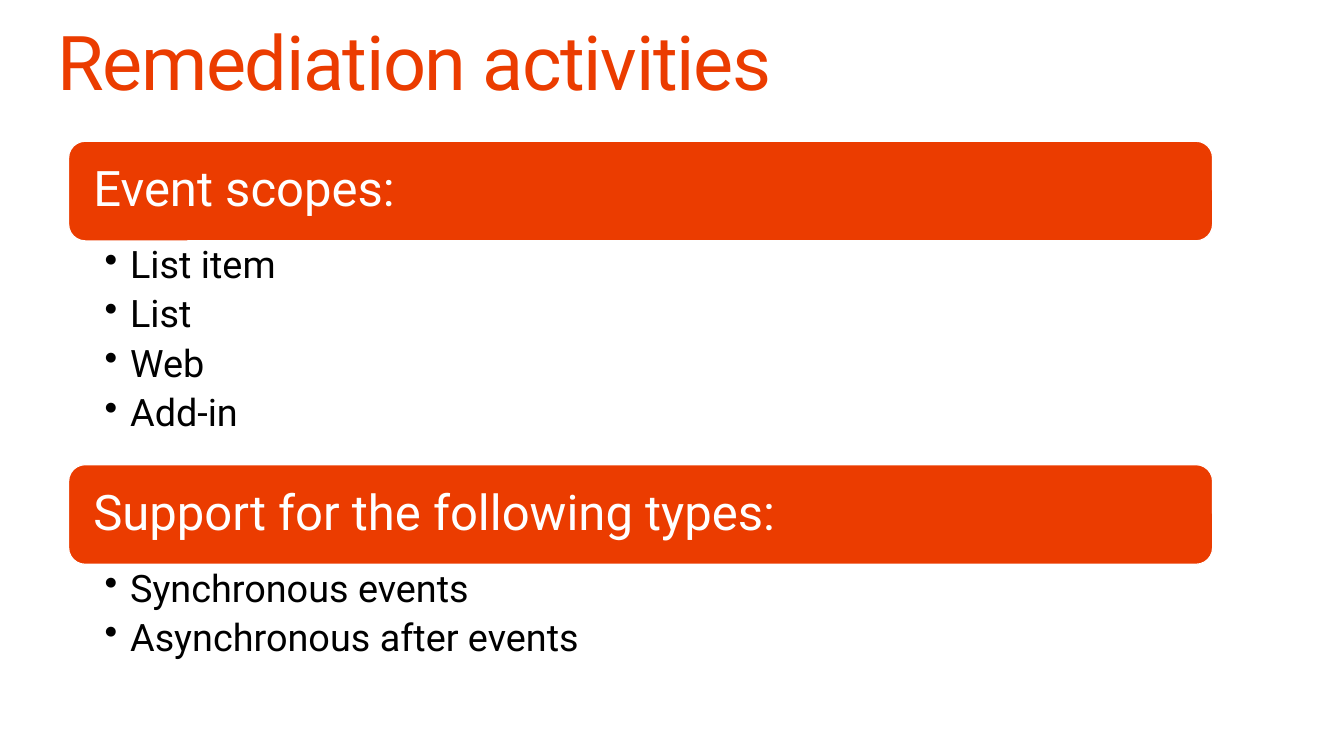
from lxml import etree
from pptx import Presentation
from pptx import util as u
from pptx.dml import color
from pptx.enum import shapes, text
from pptx.oxml import ns

COLOURS = {"accent": "EB3C00", "white": "FFFFFF", "black": "000000"}

SECTIONS = [
    ("Event scopes:", ["List item", "List", "Web", "Add-in"]),
    ("Support for the following types:", ["Synchronous events", "Asynchronous after events"]),
]

LEFT, WIDTH = 1.73, 28.83
FIRST_TOP, BAR_HEIGHT, ITEM_HEIGHT = 3.56, 2.51, 1.41


class SlideBuilder:
    font_name = "Roboto"
    line_spacing = 0.9

    def __init__(self, page):
        self.page = page

    def rgb(self, name):
        return color.RGBColor.from_string(COLOURS[name])

    def frame(self, box, insets, anchor=text.MSO_ANCHOR.TOP):
        frame = box.text_frame
        left, top, right, bottom = (u.Cm(inset) for inset in insets)
        settings = {
            "word_wrap": True,
            "vertical_anchor": anchor,
            "margin_left": left,
            "margin_top": top,
            "margin_right": right,
            "margin_bottom": bottom,
        }
        for name, value in settings.items():
            setattr(frame, name, value)
        return frame

    def add_words(self, para, words, size, colour, space_after=0):
        para_format = {
            "alignment": text.PP_ALIGN.LEFT,
            "line_spacing": self.line_spacing,
            "space_after": u.Pt(space_after),
        }
        for name, value in para_format.items():
            setattr(para, name, value)
        span = para.add_run()
        span.text = words
        for name, value in {"name": self.font_name, "size": u.Pt(size)}.items():
            setattr(span.font, name, value)
        span.font.color.rgb = self.rgb(colour)
        return span

    def text_box(self, left, top, width, height):
        return self.page.shapes.add_textbox(*map(u.Cm, (left, top, width, height)))

    def title(self, words):
        box = self.text_box(1.45, 0.64, 30.96, 2.08)
        frame = self.frame(box, (0, 0, 0, 0))
        span = self.add_words(frame.paragraphs[0], words, 54, "accent")
        span.font._element.set("spc", "-100")

    def heading_bar(self, words, top):
        bar = self.page.shapes.add_shape(
            shapes.MSO_SHAPE.ROUNDED_RECTANGLE,
            *map(u.Cm, (LEFT, top, WIDTH, BAR_HEIGHT)),
        )
        bar.shadow.inherit = False
        bar.fill.solid()
        bar.fill.fore_color.rgb = self.rgb("accent")
        bar.line.color.rgb = self.rgb("white")
        bar.line.width = u.Pt(0.85)
        frame = self.frame(bar, (0.5, 0.5, 0.5, 0.5), text.MSO_ANCHOR.MIDDLE)
        self.add_words(frame.paragraphs[0], words, 35, "white")

    def bullet_list(self, items, top):
        box = self.text_box(LEFT, top, WIDTH, ITEM_HEIGHT * len(items))
        frame = self.frame(box, (0.91, 0.13, 0.69, 0.13))
        for index, item in enumerate(items):
            para = frame.add_paragraph() if index else frame.paragraphs[0]
            para.level = 1
            properties = para._p.get_or_add_pPr()
            indent = u.Cm(0.64)
            properties.set("marL", str(indent))
            properties.set("indent", str(-indent))
            etree.SubElement(properties, ns.qn("a:buChar")).set("char", "•")
            self.add_words(para, item, 27, "black", space_after=6)


def main():
    deck = Presentation()
    deck.slide_width, deck.slide_height = u.Cm(33.87), u.Cm(19.05)
    builder = SlideBuilder(deck.slides.add_slide(deck.slide_layouts[6]))
    builder.title("Remediation activities")
    top = FIRST_TOP
    for heading, items in SECTIONS:
        builder.heading_bar(heading, top)
        builder.bullet_list(items, top + BAR_HEIGHT)
        top += BAR_HEIGHT + ITEM_HEIGHT * len(items)
    deck.save("out.pptx")


if __name__ == "__main__":
    main()
